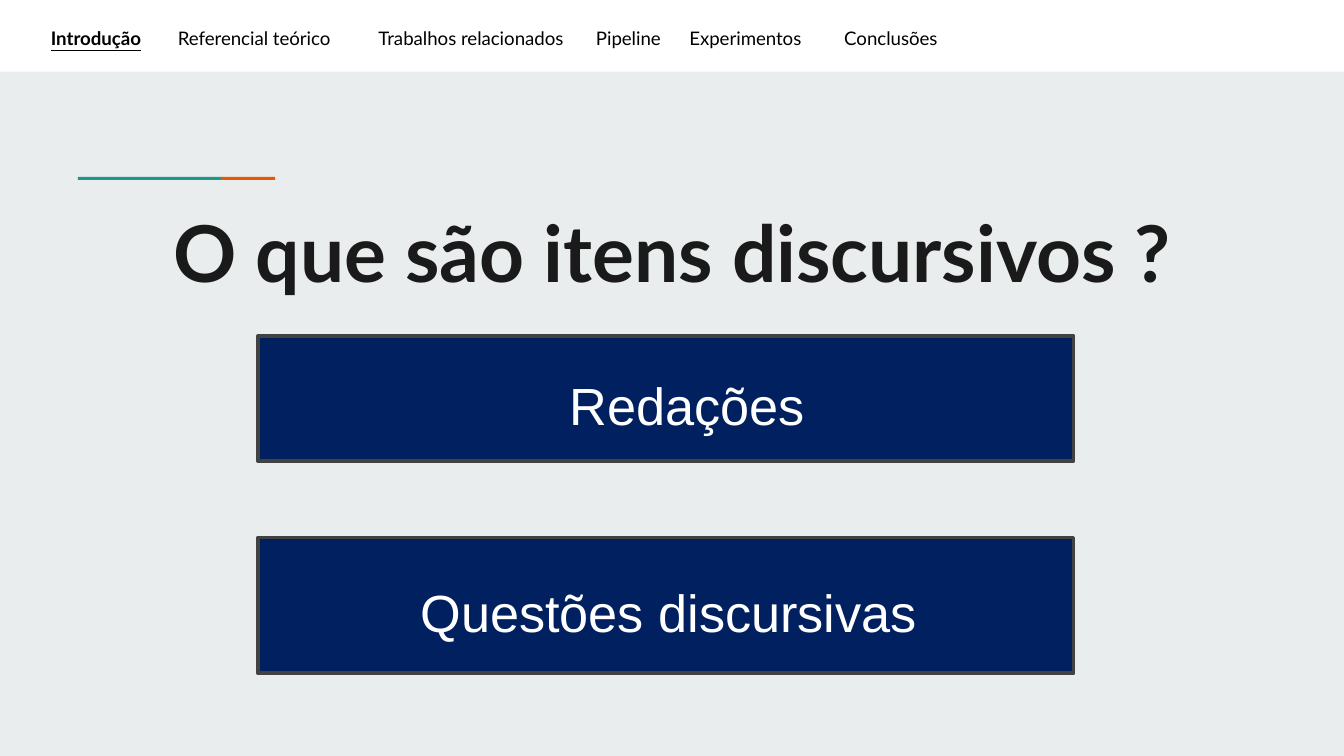
"""Build the slide that introduces discursive items."""
import pptx
import pptx.dml.color
import pptx.enum.shapes
import pptx.enum.text
import pptx.oxml
import pptx.oxml.ns
import pptx.util

Pt = pptx.util.Pt
RGBColor = pptx.dml.color.RGBColor
ANCHOR = pptx.enum.text.MSO_ANCHOR
LEFT = pptx.enum.text.PP_ALIGN.LEFT

BACKGROUND = RGBColor(0xE9, 0xED, 0xEE)
WHITE = RGBColor(0xFF, 0xFF, 0xFF)
BLACK = RGBColor(0, 0, 0)
INK = RGBColor(0x1A, 0x1A, 0x1A)
TEAL = RGBColor(0x1A, 0x99, 0x88)
ORANGE = RGBColor(0xEB, 0x56, 0x00)
NAVY = RGBColor(0x00, 0x20, 0x60)
GREY = RGBColor(0x42, 0x42, 0x42)

SECTIONS = ["Introdução", "Referencial teórico", "Trabalhos relacionados",
            "Pipeline", "Experimentos", "Conclusões"]
TAB_STOPS = [68, 175.5, 292, 342, 425]


def format_run(r, font, size, color, bold=False):
    """Set the typeface, size, colour and weight of a run."""
    r.font.name = font
    r.font.size = Pt(size)
    r.font.color.rgb = color
    r.font.bold = bold


def set_insets(tf, left, top, right, bottom):
    """Set the four inner margins of a text frame."""
    tf.margin_left, tf.margin_top = Pt(left), Pt(top)
    tf.margin_right, tf.margin_bottom = Pt(right), Pt(bottom)


def add_rect(s, left, top, width, height, fill, line=None):
    """Add a flat rectangle, outlined when a line colour is given."""
    sp = s.shapes.add_shape(pptx.enum.shapes.MSO_SHAPE.RECTANGLE,
                            Pt(left), Pt(top), Pt(width), Pt(height))
    sp.shadow.inherit = False
    sp.fill.solid()
    sp.fill.fore_color.rgb = fill
    if line is None:
        sp.line.fill.background()
    else:
        sp.line.color.rgb = line
        sp.line.width = Pt(2)
    return sp


def add_title(s, text):
    """Place and format the title placeholder."""
    sp = s.shapes.title
    sp.left, sp.top, sp.width, sp.height = Pt(85.7), Pt(102.2), Pt(605.5), Pt(131)
    tf = sp.text_frame
    tf.text = text
    tf.word_wrap = True
    tf.auto_size = pptx.enum.text.MSO_AUTO_SIZE.NONE
    tf.vertical_anchor = ANCHOR.TOP
    set_insets(tf, 7.2, 7.2, 7.2, 7.2)
    p = tf.paragraphs[0]
    p.alignment = LEFT
    format_run(p.runs[0], "Lato", 42, INK, True)


def add_item(s, text, top, height, indent):
    """Add a navy box with an indented label."""
    sp = add_rect(s, 138.2, top, 437, height, NAVY, GREY)
    tf = sp.text_frame
    tf.text = text
    tf.word_wrap = True
    tf.vertical_anchor = ANCHOR.MIDDLE
    set_insets(tf, 7.2 + indent, 10.4, 7.2, 3.6)
    p = tf.paragraphs[0]
    p.alignment = LEFT
    format_run(p.runs[0], "Arial", 28, WHITE)


def add_navigation(s, current):
    """Add the section names on tab stops, with the current one marked."""
    sp = s.shapes.add_textbox(Pt(20.2), Pt(8.6), Pt(530.6), Pt(21.6))
    tf = sp.text_frame
    tf.word_wrap = True
    set_insets(tf, 7.2, 7.2, 7.2, 7.2)
    p = tf.paragraphs[0]
    tabs = pptx.oxml.parse_xml(f"<a:tabLst {pptx.oxml.ns.nsdecls('a')}/>")
    for stop in TAB_STOPS:
        tab = tabs.makeelement(pptx.oxml.ns.qn("a:tab"),
                               {"pos": str(Pt(stop)), "algn": "l"})
        tabs.append(tab)
    p._p.get_or_add_pPr().append(tabs)
    for i, name in enumerate(SECTIONS):
        if i:
            format_run(p.add_run(), "Lato", 10, BLACK)
            p.runs[-1].text = "\t"
        r = p.add_run()
        r.text = name
        format_run(r, "Lato", 10, BLACK, name == current)
        r.font.underline = name == current


def main():
    """Build and save the slide."""
    prs = pptx.Presentation()
    prs.slide_width, prs.slide_height = Pt(720), Pt(405)
    s = prs.slides.add_slide(prs.slide_layouts[5])
    s.background.fill.solid()
    s.background.fill.fore_color.rgb = BACKGROUND
    add_rect(s, 0, 0, 720, 38.4, WHITE)
    add_rect(s, 118.4, 94.8, 29, 1.6, ORANGE)
    add_rect(s, 41.8, 94.8, 76.6, 1.6, TEAL)
    add_title(s, "O que são itens discursivos ?")
    add_item(s, "Redações", 180, 67, 160)
    add_item(s, "Questões discursivas", 288, 72.7, 80)
    add_navigation(s, "Introdução")
    prs.save("out.pptx")


if __name__ == "__main__":
    main()
